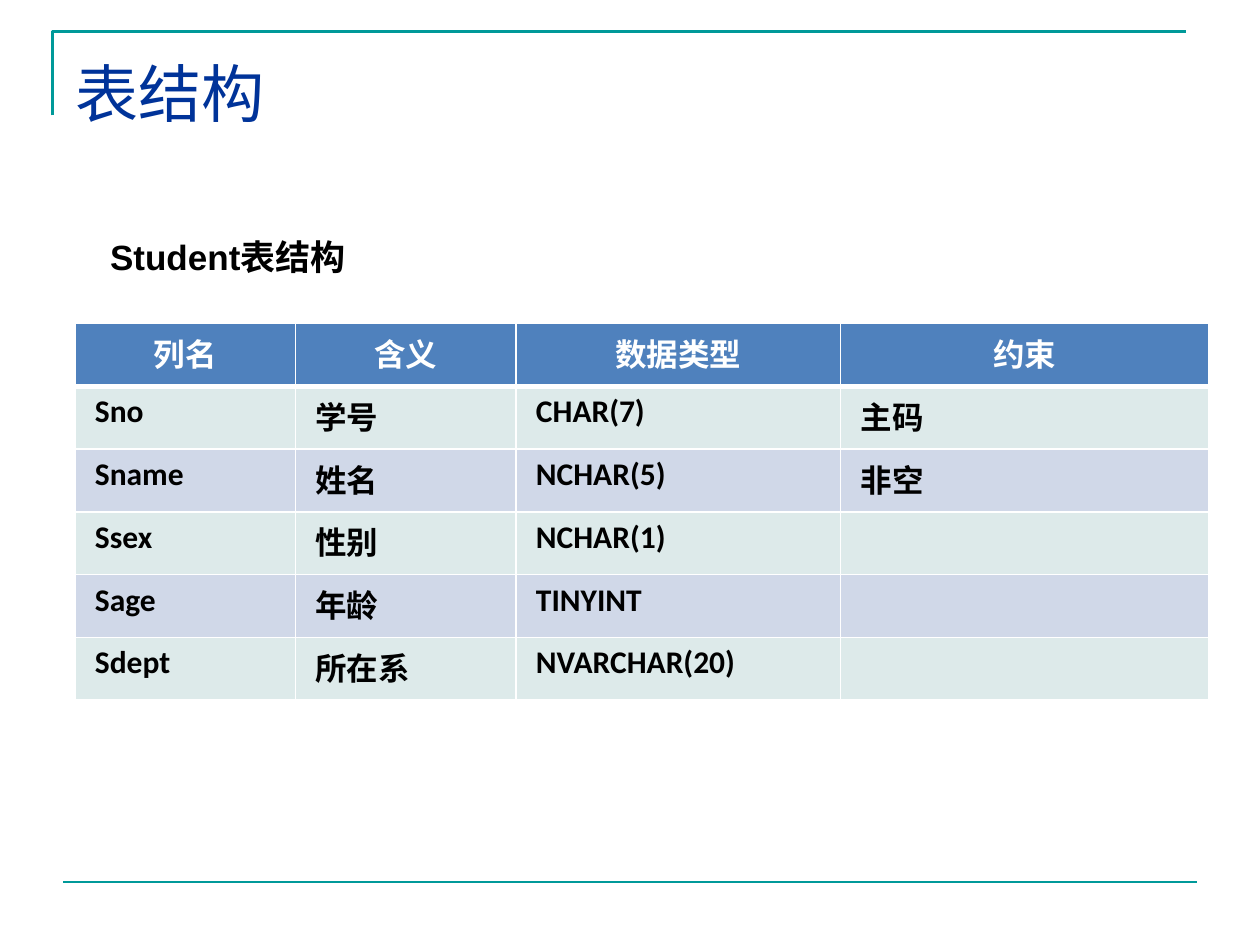
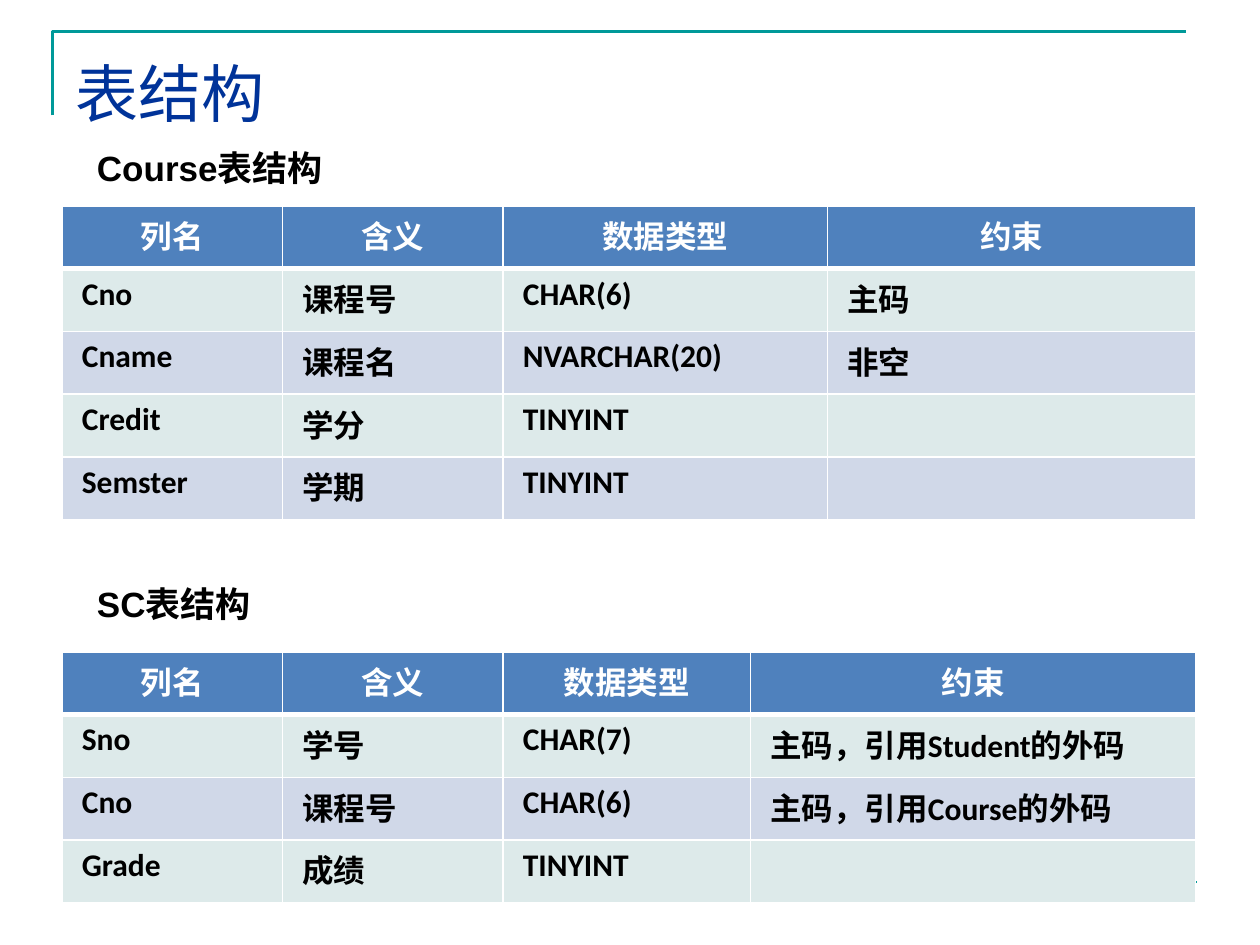
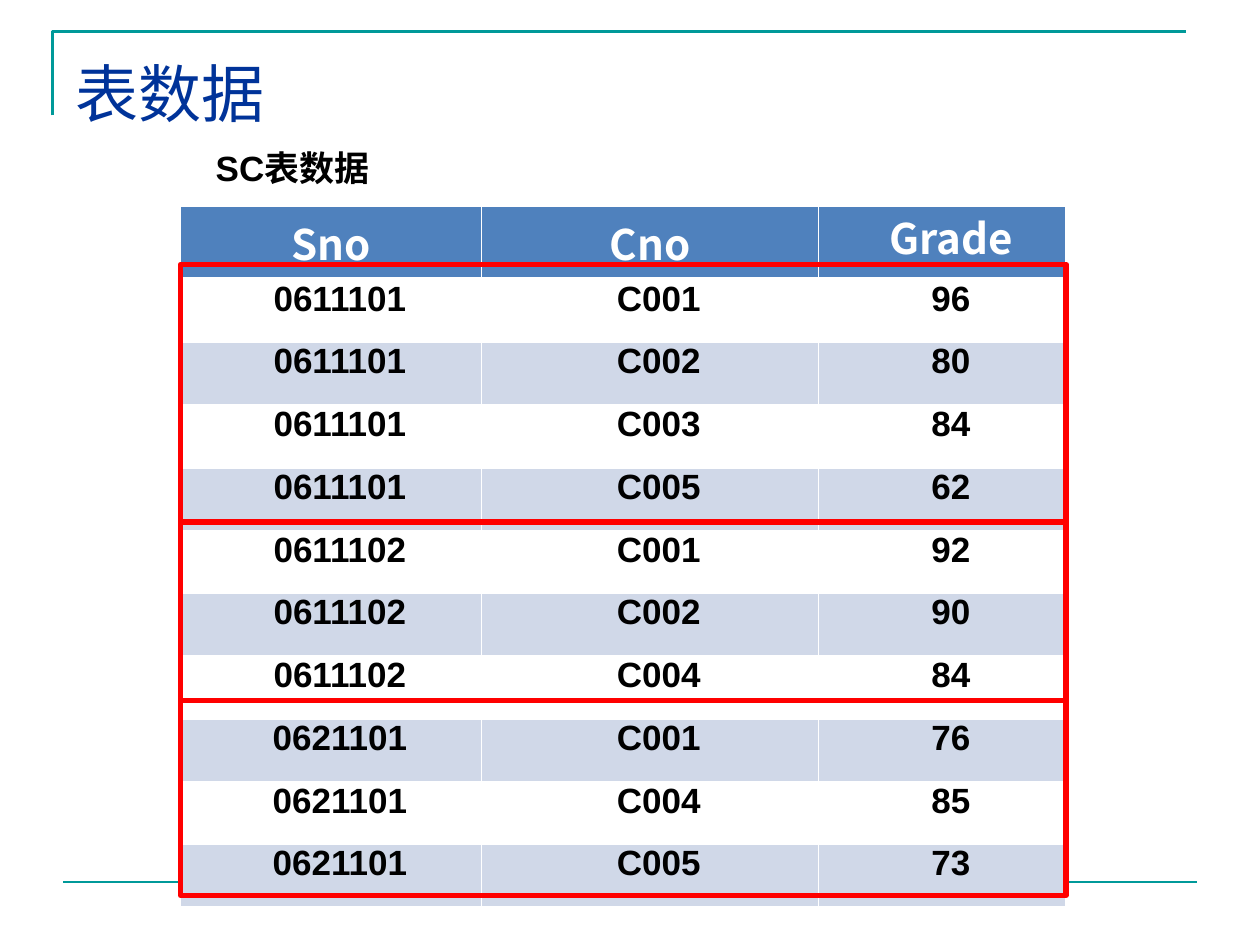
from lxml import etree
from pptx import Presentation
from pptx.dml.color import RGBColor
from pptx.enum.lang import MSO_LANGUAGE_ID
from pptx.enum.shapes import MSO_CONNECTOR, MSO_SHAPE
from pptx.enum.text import MSO_ANCHOR, MSO_AUTO_SIZE, PP_ALIGN
from pptx.oxml.ns import qn
from pptx.util import Pt

LEFT, CENTER = PP_ALIGN.LEFT, PP_ALIGN.CENTER
TOP, MIDDLE, BOTTOM = MSO_ANCHOR.TOP, MSO_ANCHOR.MIDDLE, MSO_ANCHOR.BOTTOM
GROW, FIXED = MSO_AUTO_SIZE.SHAPE_TO_FIT_TEXT, MSO_AUTO_SIZE.NONE
CHINESE = MSO_LANGUAGE_ID.SIMPLIFIED_CHINESE

TEAL, NAVY, BLUE, RED = "009999", "003399", "4F81BD", "FF0000"
MINT, PALE_BLUE, WHITE, BLACK = "DDEAEA", "D0D8E8", "FFFFFF", "000000"
BODY_FONT, CAPTION_FONT, HEADER_FONT = "Calibri", "Arial", "Noto Sans CJK SC"

ROW_HEIGHT = 35.86
CAPTION_SIZE = (301, 31.7)
CAPTION_SHIFT = 13
ROOMY, TIGHT = (11.5, 3.6), (5.8, 0)
FIRST_LINE_INDENT = 10

STRUCTURE_HEADER = ["列名", "含义", "数据类型", "约束"]
STRUCTURE_COLUMNS = [126, 126, 185.5, 210.5]
SC_COLUMNS = [126, 126, 141.5, 254.5]

STRUCTURE_SLIDES = [
    [
        dict(caption="Student表结构", caption_top=131, left=42.8, top=185,
             columns=STRUCTURE_COLUMNS, rows=[
                 ["Sno", "学号", "CHAR(7)", "主码"],
                 ["Sname", "姓名", "NCHAR(5)", "非空"],
                 ["Ssex", "性别", "NCHAR(1)", ""],
                 ["Sage", "年龄", "TINYINT", ""],
                 ["Sdept", "所在系", "NVARCHAR(20)", ""]]),
    ],
    [
        dict(caption="Course表结构", caption_top=79.7, left=35.3, top=117.7,
             columns=STRUCTURE_COLUMNS, rows=[
                 ["Cno", "课程号", "CHAR(6)", "主码"],
                 ["Cname", "课程名", "NVARCHAR(20)", "非空"],
                 ["Credit", "学分", "TINYINT", ""],
                 ["Semster", "学期", "TINYINT", ""]]),
        dict(caption="SC表结构", caption_top=329, left=35.3, top=372.5,
             columns=SC_COLUMNS, rows=[
                 ["Sno", "学号", "CHAR(7)", "主码，引用Student的外码"],
                 ["Cno", "课程号", "CHAR(6)", "主码，引用Course的外码"],
                 ["Grade", "成绩", "TINYINT", ""]]),
    ],
]

GRADES_HEADER = ["Sno", "Cno", "Grade"]
GRADES_COLUMNS = [172, 192.5, 141.5]
GRADES_LEFT, GRADES_TOP = 103.2, 117.7
STUDENT_GRADES = {
    "0611101": [("C001", "96"), ("C002", "80"), ("C003", "84"), ("C005", "62")],
    "0611102": [("C001", "92"), ("C002", "90"), ("C004", "84")],
    "0621101": [("C001", "76"), ("C004", "85"), ("C005", "73")],
}
FRAME_EDGES = [151, 298.3, 400.3, 511.7]


def color(hex_code):
    """Turn a hex string into a colour."""
    return RGBColor.from_string(hex_code)


def write(frame, text, *, size, font, ink, bold=False, align=LEFT, indent=0):
    """Write one formatted paragraph into a text frame."""
    paragraph = frame.paragraphs[0]
    paragraph.alignment = align
    if indent:
        properties = paragraph._p.get_or_add_pPr()
        properties.set("marL", "0")
        properties.set("indent", str(Pt(indent)))
    run = paragraph.add_run()
    run.text = text
    run.font.size = Pt(size)
    run.font.name = font
    run.font.bold = bold
    run.font.language_id = CHINESE
    run.font.color.rgb = color(ink)


def add_label(slide, text, left, top, width, height, anchor, fit, **style):
    """Add a wrapping text box."""
    box = slide.shapes.add_textbox(Pt(left), Pt(top), Pt(width), Pt(height))
    frame = box.text_frame
    frame.word_wrap = True
    frame.auto_size = fit
    frame.vertical_anchor = anchor
    write(frame, text, **style)


def outline(shape, ink, width):
    """Leave a shape with only its outline."""
    shape.shadow.inherit = False
    shape.fill.background()
    shape.line.color.rgb = color(ink)
    shape.line.width = Pt(width)


def start_slide(deck, title):
    """Add a slide with the corner line, the footer line and its title."""
    slide = deck.slides.add_slide(deck.slide_layouts[6])
    builder = slide.shapes.build_freeform(Pt(30), Pt(66), scale=1.0)
    builder.add_line_segments(
        [(Pt(30), Pt(18)), (Pt(678), Pt(18))], close=False)
    outline(builder.convert_to_shape(), TEAL, 1.5)
    footer = slide.shapes.add_connector(
        MSO_CONNECTOR.STRAIGHT, Pt(36), Pt(504), Pt(684), Pt(504))
    footer.line.color.rgb = color(TEAL)
    footer.line.width = Pt(1.5)
    etree.SubElement(footer._element.spPr, qn("a:effectLst"))
    add_label(slide, title, 36, 21.6, 648, 56.2, BOTTOM, FIXED,
              size=36, font=BODY_FONT, ink=NAVY)
    return slide


def add_caption(slide, text, table_left, top):
    """Add the bold caption that stands above a table."""
    add_label(slide, text, table_left + CAPTION_SHIFT, top, *CAPTION_SIZE,
              MIDDLE, GROW, size=20, font=CAPTION_FONT, ink=BLACK, bold=True)


def set_borders(cell, top, bottom):
    """Draw white borders; top and bottom widths are given."""
    properties = cell._tc.get_or_add_tcPr()
    for side, width in (("L", 1), ("R", 1), ("T", top), ("B", bottom)):
        line = etree.SubElement(properties, qn("a:ln" + side), w=str(Pt(width)))
        fill = etree.SubElement(line, qn("a:solidFill"))
        etree.SubElement(fill, qn("a:srgbClr"), val=WHITE)


def add_grid(slide, rows, columns, left, top, bands, cell_format):
    """Add a table; cell_format gives (insets, text style) for a row, column."""
    grid = slide.shapes.add_table(
        len(rows), len(columns), Pt(left), Pt(top),
        Pt(sum(columns)), Pt(ROW_HEIGHT * len(rows))).table
    for column, width in zip(grid.columns, columns):
        column.width = Pt(width)
    for r, row in enumerate(rows):
        grid.rows[r].height = Pt(ROW_HEIGHT)
        for c, text in enumerate(row):
            cell = grid.cell(r, c)
            set_borders(cell, 3 if r == 1 else 1, 3 if r == 0 else 1)
            cell.fill.solid()
            cell.fill.fore_color.rgb = color(bands[(r - 1) % 2] if r else BLUE)
            (side, edge), style = cell_format(r, c)
            cell.margin_left = cell.margin_right = Pt(side)
            cell.margin_top = cell.margin_bottom = Pt(edge)
            cell.vertical_anchor = TOP
            if text:
                write(cell.text_frame, text, bold=True, **style)


def structure_format(r, c):
    """Format of a cell in a structure table."""
    return ROOMY, dict(size=18, font=BODY_FONT, ink=BLACK if r else WHITE,
                       align=LEFT if r else CENTER)


def grades_format(r, c):
    """Format of a cell in the grades table."""
    if r:
        return TIGHT, dict(size=20, font=CAPTION_FONT, ink=BLACK,
                           align=CENTER, indent=FIRST_LINE_INDENT)
    last = c == len(GRADES_HEADER) - 1
    return (TIGHT if last else ROOMY), dict(
        size=24, font=HEADER_FONT, ink=WHITE, align=CENTER,
        indent=FIRST_LINE_INDENT if last else 0)


def add_structure_slide(deck, tables):
    """Add a slide of captioned structure tables."""
    slide = start_slide(deck, "表结构")
    for table in tables:
        add_grid(slide, [STRUCTURE_HEADER] + table["rows"], table["columns"],
                 table["left"], table["top"], (MINT, PALE_BLUE),
                 structure_format)
        add_caption(slide, table["caption"], table["left"],
                    table["caption_top"])


def add_grades_slide(deck):
    """Add the grades table with a red frame around each student."""
    slide = start_slide(deck, "表数据")
    rows = [(student, course, grade)
            for student, grades in STUDENT_GRADES.items()
            for course, grade in grades]
    add_grid(slide, [GRADES_HEADER] + rows, GRADES_COLUMNS, GRADES_LEFT,
             GRADES_TOP, (WHITE, PALE_BLUE), grades_format)
    add_caption(slide, "SC表数据", GRADES_LEFT, 79.7)
    for top, bottom in zip(FRAME_EDGES, FRAME_EDGES[1:]):
        frame = slide.shapes.add_shape(
            MSO_SHAPE.RECTANGLE, Pt(GRADES_LEFT), Pt(top),
            Pt(sum(GRADES_COLUMNS)), Pt(bottom - top))
        outline(frame, RED, 3)


def main():
    """Build and save the deck."""
    deck = Presentation()
    deck.slide_width, deck.slide_height = Pt(720), Pt(540)
    for tables in STRUCTURE_SLIDES:
        add_structure_slide(deck, tables)
    add_grades_slide(deck)
    deck.save("out.pptx")


main()
